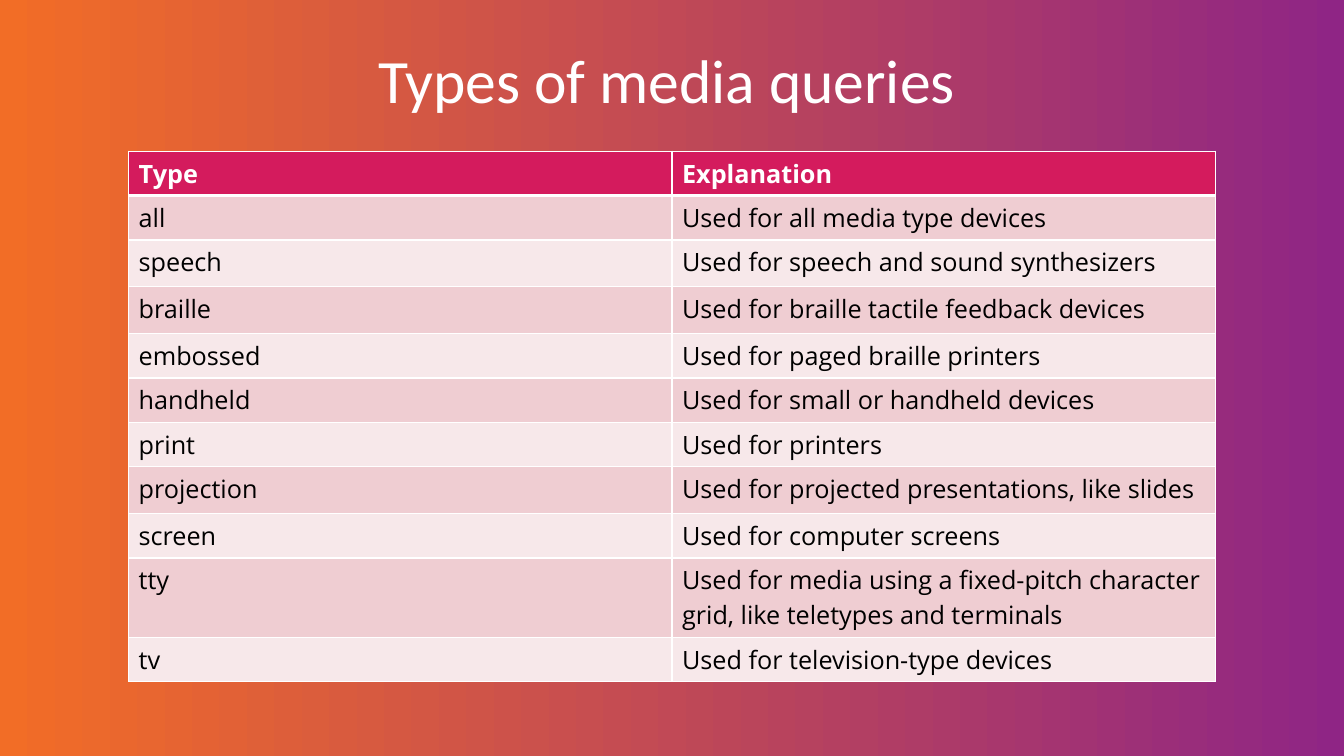
import pptx
import pptx.dml.color
import pptx.enum.text
import pptx.oxml
import pptx.oxml.ns
import pptx.util

WIDTH, HEIGHT = 13.33, 7.5
WHITE, BLACK, PINK = "FFFFFF", "000000", "D41B5D"
BANDS = ["F7E8EA", "EFCDD2"]
ROW, TALL_ROW, TWO_LINE_ROW = 5.87, 6.2, 10.47

MEDIA_TYPES = [
    ("Type", "Explanation", ROW),
    ("all", "Used for all media type devices", ROW),
    ("speech", "Used for speech and sound synthesizers", TALL_ROW),
    ("braille", "Used for braille tactile feedback devices", TALL_ROW),
    ("embossed", "Used for paged braille printers", ROW),
    ("handheld", "Used for small or handheld devices", ROW),
    ("print", "Used for printers", ROW),
    ("projection", "Used for projected presentations, like slides", TALL_ROW),
    ("screen", "Used for computer screens", ROW),
    ("tty", "Used for media using a fixed-pitch character grid, like teletypes and terminals",
     TWO_LINE_ROW),
    ("tv", "Used for television-type devices", ROW),
]


def across(percent):
    return pptx.util.Inches(WIDTH * percent / 100)


def down(percent):
    return pptx.util.Inches(HEIGHT * percent / 100)


def rgb(value):
    return pptx.dml.color.RGBColor.from_string(value)


def write(tf, text, size=18, font="Open Sans", color=BLACK, bold=False, align=None, spacing=None):
    p = tf.paragraphs[0]
    p.alignment = align
    p.line_spacing = spacing
    r = p.add_run()
    r.text = text
    r.font.size = pptx.util.Pt(size)
    r.font.name = font
    r.font.bold = bold
    r.font.color.rgb = rgb(color)


def paint_background(s, start, end):
    fill = s.background.fill
    fill.gradient()
    fill.gradient_angle = 180
    for stop, color in zip(fill.gradient_stops, (start, end)):
        stop.color.rgb = rgb(color)


def add_title(s, text):
    sp = s.shapes.add_textbox(across(5.63), down(6), across(88.75), down(10))
    tf = sp.text_frame
    tf.word_wrap = True
    tf.margin_left = 0
    tf.vertical_anchor = pptx.enum.text.MSO_ANCHOR.MIDDLE
    write(tf, text, size=44, font="Calibri", color=WHITE,
          align=pptx.enum.text.PP_ALIGN.CENTER, spacing=0.9)


def set_borders(cell, **widths):
    tc_pr = cell._tc.get_or_add_tcPr()
    for side in "LRTB":
        width = pptx.util.Pt(widths.get(side, 1))
        tc_pr.append(pptx.oxml.parse_xml(
            f'<a:ln{side} {pptx.oxml.ns.nsdecls("a")} w="{width}"><a:solidFill>'
            f'<a:srgbClr val="{WHITE}"/></a:solidFill></a:ln{side}>'))


def fill_cell(cell, text, row):
    header = row == 0
    set_borders(cell, T=3 if row == 1 else 1, B=3 if header else 1)
    cell.fill.solid()
    cell.fill.fore_color.rgb = rgb(PINK if header else BANDS[row % 2])
    write(cell.text_frame, text, color=WHITE if header else BLACK, bold=header)


def add_media_table(s, rows):
    total = sum(height for _, _, height in rows)
    frame = s.shapes.add_table(len(rows), 2, across(9.57), down(20), across(80.87), down(total))
    table = frame.table
    for i, (name, explanation, height) in enumerate(rows):
        table.rows[i].height = down(height)
        for j, text in enumerate((name, explanation)):
            fill_cell(table.cell(i, j), text, i)


def main():
    prs = pptx.Presentation()
    prs.slide_width, prs.slide_height = across(100), down(100)
    s = prs.slides.add_slide(prs.slide_layouts[6])
    paint_background(s, "8F2585", "F26D26")
    add_title(s, "Types of media queries")
    add_media_table(s, MEDIA_TYPES)
    prs.save("out.pptx")


if __name__ == "__main__":
    main()
